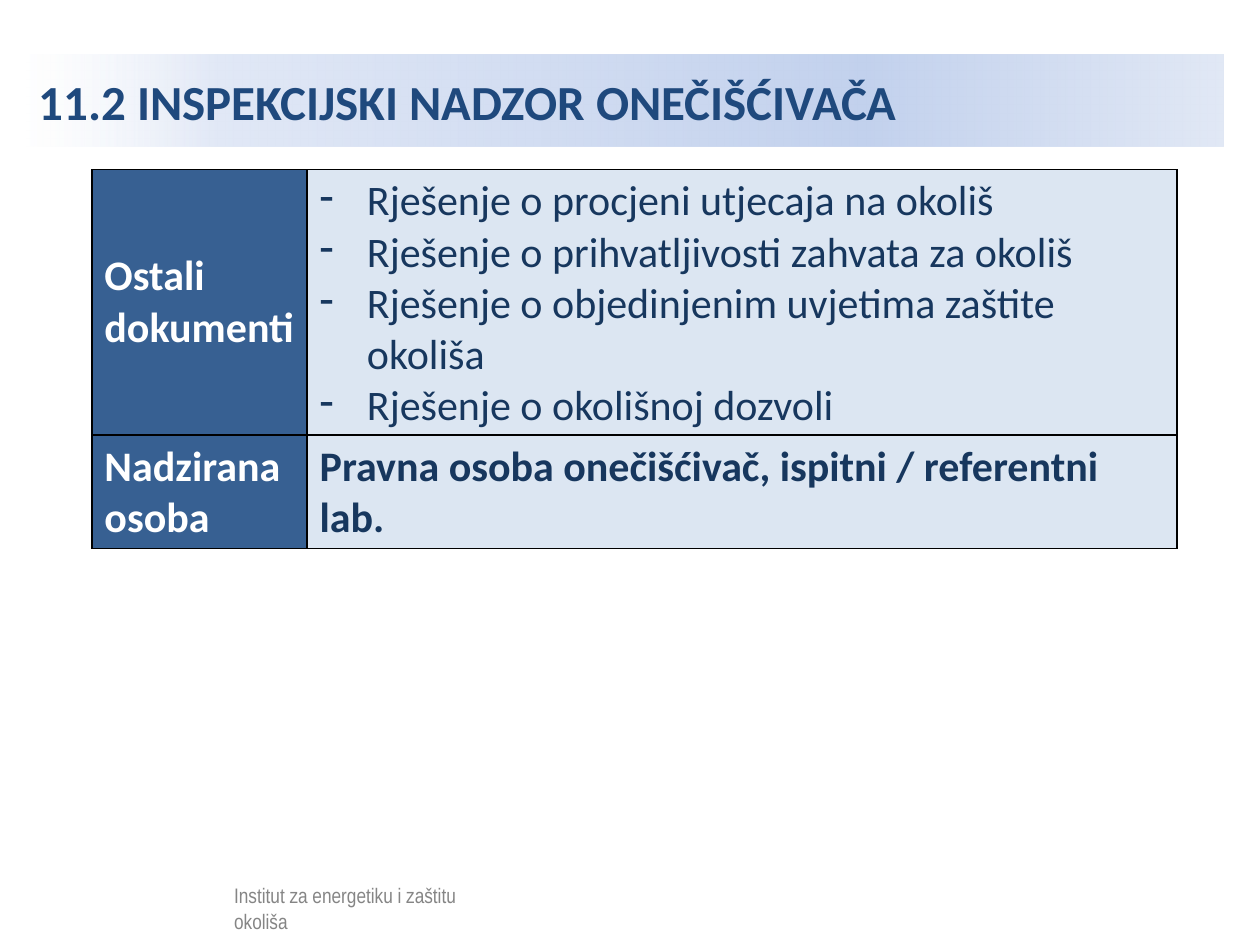
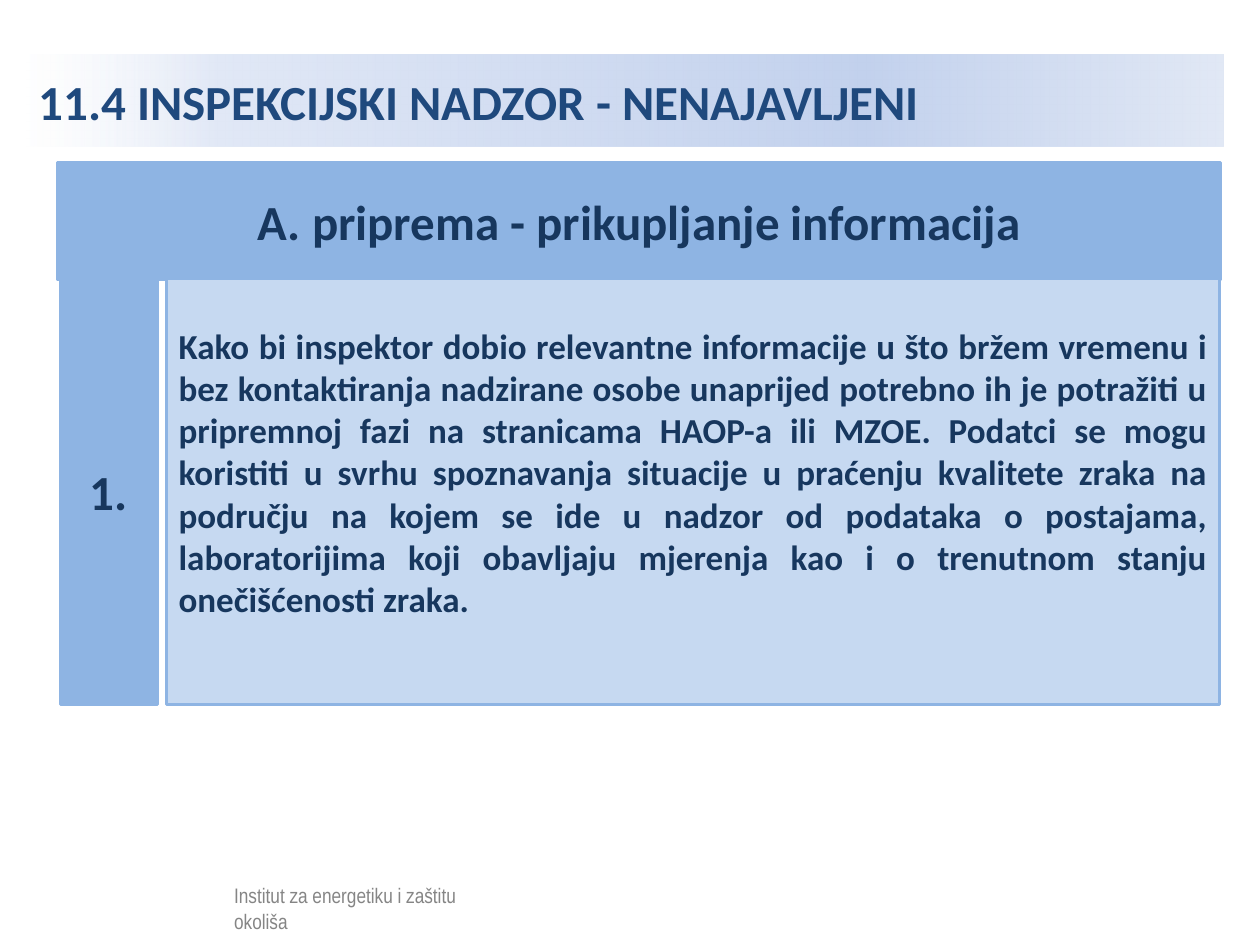
from dataclasses import dataclass

from lxml.etree import SubElement as Sub
from pptx import Presentation
from pptx.dml.color import RGBColor
from pptx.enum.shapes import MSO_SHAPE as Shape
from pptx.enum.text import MSO_ANCHOR as Anchor, MSO_AUTO_SIZE as Auto, PP_ALIGN as Align
from pptx.oxml.ns import qn
from pptx.util import Pt

BLACK = RGBColor(0x00, 0x00, 0x00)
WHITE = RGBColor(0xFF, 0xFF, 0xFF)
BLUE = RGBColor(0x1F, 0x49, 0x7D)
NAVY = RGBColor(0x17, 0x37, 0x5E)
STEEL = RGBColor(0x37, 0x60, 0x92)
ICE = RGBColor(0xDC, 0xE6, 0xF2)
SKY = RGBColor(0x8E, 0xB4, 0xE3)
PALE = RGBColor(0xC6, 0xD9, 0xF1)
MIST = RGBColor(0xE1, 0xE8, 0xF6)
HAZE = RGBColor(0xC2, 0xD1, 0xED)
DAWN = RGBColor(0xE1, 0xE8, 0xF5)

FONT = "Calibri"
OPACITY = 52
STOPS = [(0, WHITE, OPACITY), (16, MIST, 100), (70, HAZE, 100), (100, DAWN, 100)]
FOOTER = "Institut za energetiku i zaštitu okoliša"
HANG = 27


@dataclass
class Panel:
    box: tuple[float, float, float, float]
    fill: RGBColor
    text: str
    size: int = 28
    line: float = 1.5
    align: Align = Align.CENTER
    foot: float = 3.6  # bottom inset


@dataclass
class Row:
    head: str
    items: list[str]
    height: float
    bold: bool = False


ROWS = [
    Row("Ostali dokumenti", [
        "Rješenje o procjeni utjecaja na okoliš",
        "Rješenje o prihvatljivosti zahvata za okoliš",
        "Rješenje o objedinjenim uvjetima zaštite okoliša",
        "Rješenje o okolišnoj dozvoli",
    ], 151.5),
    Row("Nadzirana osoba", ["Pravna osoba onečišćivač, ispitni / referentni lab."], 64.5, True),
]
COLS = (123, 497)

ADVICE = (
    "Kako bi inspektor dobio relevantne informacije u što bržem vremenu i bez "
    "kontaktiranja nadzirane osobe unaprijed potrebno ih je potražiti u pripremnoj "
    "fazi na stranicama HAOP-a ili MZOE. Podatci se mogu koristiti u svrhu "
    "spoznavanja situacije u praćenju kvalitete zraka na području na kojem se ide u "
    "nadzor od podataka o postajama, laboratorijima koji obavljaju mjerenja kao i o "
    "trenutnom stanju onečišćenosti zraka."
)
PANELS = [
    Panel((33, 93, 664.5, 67), SKY, "A. priprema - prikupljanje informacija"),
    Panel((95, 159, 602, 243.5), PALE, ADVICE, 20, align=Align.JUSTIFY, foot=25.6),
    Panel((34.5, 159, 55.5, 243.5), SKY, "1.", line=2),
]


def style(par, size: float, color: RGBColor, bold: bool = True, name: str = FONT) -> None:
    font = par.font
    font.name, font.size, font.bold = name, Pt(size), bold
    font.color.rgb = color


def place(shape, *box: float) -> None:
    shape.left, shape.top, shape.width, shape.height = map(Pt, box)


def tint(parent, color: RGBColor, alpha: int = 100) -> None:
    """Append a colour element, with its opacity in percent."""
    clr = Sub(parent, qn("a:srgbClr"), val=str(color))
    if alpha < 100:
        Sub(clr, qn("a:alpha"), val=str(alpha * 1000))


def blend(shape) -> None:
    """Fill a shape with the left-to-right title gradient."""
    grad = Sub(shape._element.spPr, qn("a:gradFill"), rotWithShape="1")
    stops = Sub(grad, qn("a:gsLst"))
    for pos, color, alpha in STOPS:
        tint(Sub(stops, qn("a:gs"), pos=str(pos * 1000)), color, alpha)
    Sub(grad, qn("a:lin"), ang="0", scaled="0")


def frame(cell) -> None:
    """Draw thin black borders on all sides of a cell."""
    props = cell._tc.get_or_add_tcPr()
    for side in ("lnL", "lnR", "lnT", "lnB"):
        line = Sub(props, qn(f"a:{side}"), w=str(Pt(1)))
        tint(Sub(line, qn("a:solidFill")), BLACK)


def dash(par) -> None:
    props = par._p.get_or_add_pPr()
    props.set("marL", str(Pt(HANG)))
    props.set("indent", str(-Pt(HANG)))
    Sub(props, qn("a:buChar"), char="-")


def start(deck, text: str):
    """Add a slide with the shared title band and veiled footer."""
    slide = deck.slides.add_slide(deck.slide_layouts[5])
    title = slide.shapes.title
    place(title, 15, 31, 684, 53)
    blend(title)
    title.text = text
    frm = title.text_frame
    frm.auto_size, frm.vertical_anchor = Auto.NONE, Anchor.MIDDLE
    par = frm.paragraphs[0]
    par.alignment = Align.LEFT
    style(par, 28, BLUE)

    note = slide.shapes.add_textbox(*map(Pt, (126.7, 501, 150.5, 18)))
    note.text_frame.word_wrap = True
    note.text_frame.text = FOOTER
    style(note.text_frame.paragraphs[0], 12, BLACK, False, "Arial Narrow")

    veil = slide.shapes.add_shape(Shape.RECTANGLE, *map(Pt, (29.5, 499, 275, 34.5)))
    veil.shadow.inherit = False
    veil.line.fill.background()
    veil.fill.solid()
    veil.fill.fore_color.rgb = WHITE
    clr = veil._element.spPr.find(".//" + qn("a:srgbClr"))
    Sub(clr, qn("a:alpha"), val=str(OPACITY * 1000))
    return slide


def write(cell, lines: list[str], fill: RGBColor, color: RGBColor, bold: bool) -> None:
    frame(cell)
    cell.fill.solid()
    cell.fill.fore_color.rgb = fill
    cell.vertical_anchor = Anchor.MIDDLE
    cell.text = "\n".join(lines)
    for par in cell.text_frame.paragraphs:
        if len(lines) > 1:
            dash(par)
        style(par, 24, color, bold)


def grid(slide, rows: list[Row]) -> None:
    high = sum(row.height for row in rows)
    box = map(Pt, (52.5, 97, sum(COLS), high))
    table = slide.shapes.add_table(len(rows), len(COLS), *box).table
    table.first_row = table.horz_banding = False
    for col, width in zip(table.columns, COLS):
        col.width = Pt(width)
    for i, row in enumerate(rows):
        table.rows[i].height = Pt(row.height)
        write(table.cell(i, 0), [row.head], STEEL, WHITE, True)
        write(table.cell(i, 1), row.items, ICE, NAVY, row.bold)


def draw(slide, panel: Panel) -> None:
    shape = slide.shapes.add_shape(Shape.RECTANGLE, *map(Pt, panel.box))
    shape.shadow.inherit = False
    shape.fill.solid()
    shape.fill.fore_color.rgb = panel.fill
    shape.line.color.rgb = SKY
    shape.line.width = Pt(panel.line)
    frm = shape.text_frame
    frm.word_wrap, frm.vertical_anchor = True, Anchor.MIDDLE
    frm.margin_bottom = Pt(panel.foot)
    frm.text = panel.text
    par = frm.paragraphs[0]
    par.alignment = panel.align
    style(par, panel.size, NAVY)


def main() -> None:
    deck = Presentation()
    deck.slide_width, deck.slide_height = Pt(720), Pt(540)
    grid(start(deck, "11.2 INSPEKCIJSKI NADZOR ONEČIŠĆIVAČA"), ROWS)
    slide = start(deck, "11.4 INSPEKCIJSKI NADZOR - NENAJAVLJENI")
    for panel in PANELS:
        draw(slide, panel)
    deck.save("out.pptx")


if __name__ == "__main__":
    main()
